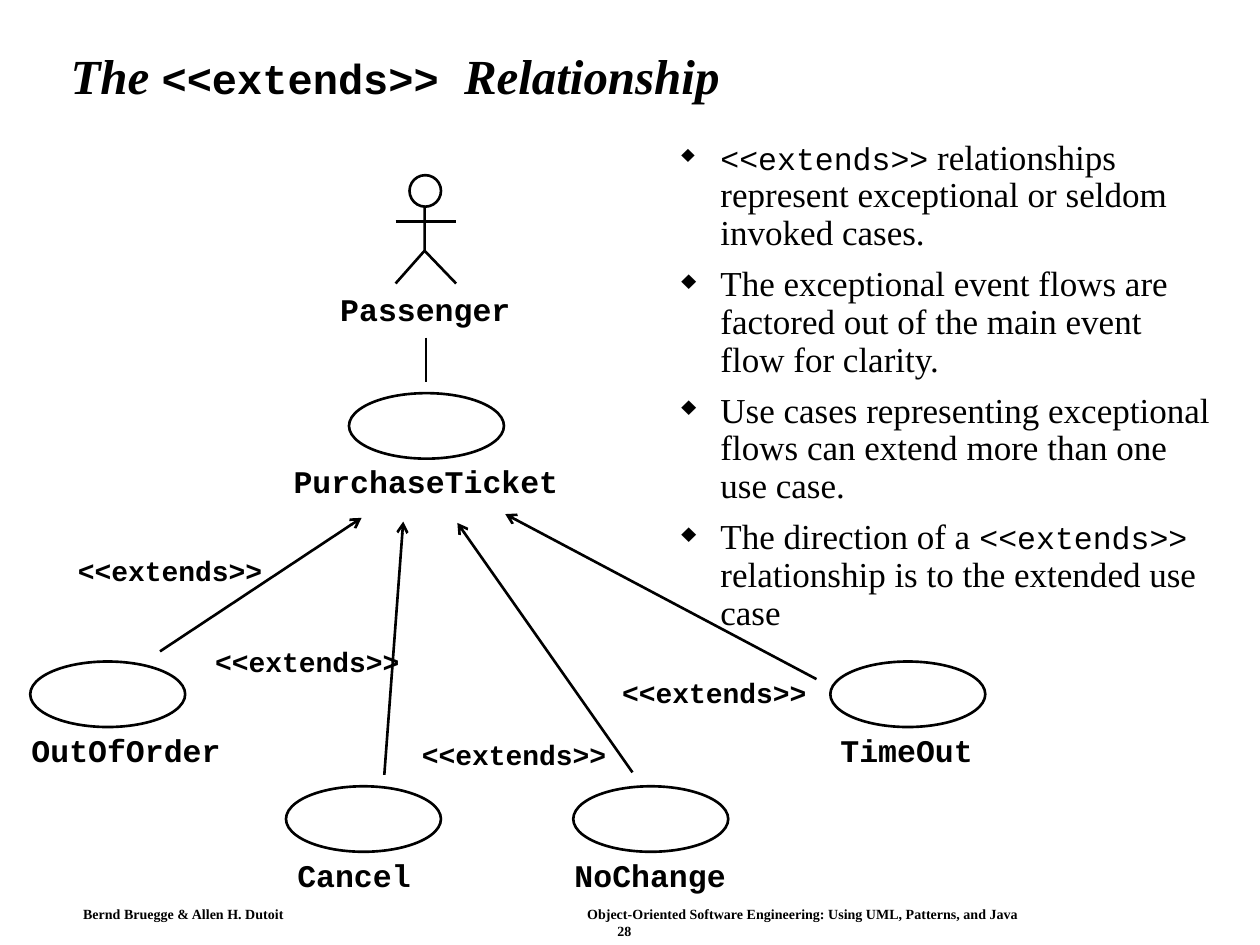
from lxml import etree
from pptx import Presentation
from pptx import util as u
from pptx.dml.color import RGBColor
from pptx.enum import shapes, text
from pptx.oxml import ns

BLACK = RGBColor(0, 0, 0)
WHITE = RGBColor(255, 255, 255)
SERIF, MONO = "Times New Roman", "Courier New"
TAG = "<<extends>>"
LEFT, MID = text.PP_ALIGN.LEFT, text.PP_ALIGN.CENTER
TOP, HALF = text.MSO_ANCHOR.TOP, text.MSO_ANCHOR.MIDDLE


def put(para, words, size=20, face=SERIF, bold=False, slant=False):
    run = para.add_run()
    run.text = words
    font = run.font
    font.size, font.name = u.Pt(size), face
    font.bold, font.italic = bold, slant
    font.color.rgb = BLACK


def sub(node, tag, **attrs):
    return etree.SubElement(node, ns.qn(tag), **attrs)


class Page:
    def __init__(self, slide):
        self.slide = slide
        self.home = slide.shapes
        self.width = u.Pt(1.5)

    def group(self):
        self.home = self.slide.shapes.add_group_shape().shapes

    def leave(self):
        self.home = self.slide.shapes

    def frame(self, shape, pad=(0, 0), wrap=False, anchor=TOP):
        body = shape.text_frame
        body.auto_size = text.MSO_AUTO_SIZE.NONE
        body.word_wrap, body.vertical_anchor = wrap, anchor
        body.margin_left = body.margin_right = u.Inches(pad[0])
        body.margin_top = body.margin_bottom = u.Inches(pad[1])
        return body

    def title(self, box, runs):
        shape = self.slide.shapes.title
        shape.left, shape.top, shape.width, shape.height = map(u.Inches, box)
        para = self.frame(shape, (0.1, 0.05), True, HALF).paragraphs[0]
        para.alignment, para.line_spacing = LEFT, 0.9
        for words, style in runs:
            put(para, words, **style)

    def label(self, box, words, pad=(0, 0), align=LEFT, anchor=TOP, **style):
        shape = self.home.add_textbox(*map(u.Inches, box))
        para = self.frame(shape, pad, False, anchor).paragraphs[0]
        para.alignment = align
        put(para, words, **style)

    def bullets(self, box, items):
        shape = self.home.add_textbox(*map(u.Inches, box))
        body = self.frame(shape, (0.1, 0.05), True)
        for i, runs in enumerate(items):
            para = body.add_paragraph() if i else body.paragraphs[0]
            props = para._p.get_or_add_pPr()
            props.set("marL", str(u.Inches(0.31)))
            props.set("indent", str(-u.Inches(0.31)))
            sub(sub(props, "a:buClr"), "a:srgbClr", val=str(BLACK))
            sub(props, "a:buSzPct", val="75000")
            sub(props, "a:buChar", char="♦")
            para.line_spacing = 0.9
            para.space_before = u.Pt(7.5 if i else 0)
            for words in runs:
                if words == TAG:
                    put(para, words, size=18, face=MONO)
                else:
                    put(para, words)

    def stroke(self, shape):
        shape.line.color.rgb = BLACK
        shape.line.width = self.width

    def oval(self, box, fill=None):
        shape = self.home.add_shape(shapes.MSO_SHAPE.OVAL, *map(u.Inches, box))
        shape.shadow.inherit = False
        if fill is None:
            shape.fill.background()
        else:
            shape.fill.solid()
            shape.fill.fore_color.rgb = fill
        self.stroke(shape)

    def line(self, start, end, arrow=False):
        ends = map(u.Inches, (*start, *end))
        link = self.home.add_connector(shapes.MSO_CONNECTOR.STRAIGHT, *ends)
        self.stroke(link)
        if arrow:
            sub(link.line._get_or_add_ln(), "a:headEnd", type="arrow")
        sub(link._element.spPr, "a:effectLst")

    def trace(self, points):
        first, *rest = [tuple(map(u.Inches, p)) for p in points]
        maker = self.home.build_freeform(*first)
        maker.add_line_segments(rest, close=False)
        shape = maker.convert_to_shape()
        shape.shadow.inherit = False
        shape.fill.background()
        self.stroke(shape)

    def name(self, left, top, words):
        box = (left, top, 0.15 * len(words), 0.3)
        self.label(box, words, size=18, face=MONO, bold=True)

    def case(self, left, top, words, edge):
        self.oval((left, top, 1.23, 0.52))
        self.name(edge, top + 0.55, words)

    def actor(self):
        self.trace([(3.37, 1.57), (3.37, 1.99), (3.14, 2.25)])
        self.line((3.37, 1.99), (3.62, 2.25))
        self.line((3.14, 1.76), (3.62, 1.76))
        self.oval((3.25, 1.39, 0.25, 0.25), WHITE)
        self.name(2.7, 2.3, "Passenger")


def main():
    deck = Presentation()
    deck.slide_width, deck.slide_height = u.Inches(10), u.Inches(7.5)
    page = Page(deck.slides.add_slide(deck.slide_layouts[5]))

    serif = dict(size=28, bold=True, slant=True)
    mono = dict(size=24, face=MONO, bold=True)
    page.title((0.46, 0.24, 8.92, 0.77), [
        ("The ", serif), (TAG + " ", mono), ("Relationship", serif)])

    page.bullets((5.31, 1.06, 4.43, 5.25), [
        [TAG, " relationships represent exceptional or seldom invoked cases."],
        ["The exceptional event flows are factored out of the main event "
         "flow for clarity."],
        ["Use cases representing exceptional flows can extend more than one "
         "use case."],
        ["The direction of a ", TAG,
         " relationship is to the extended use case"]])

    page.group()
    page.actor()
    page.case(2.77, 3.12, "PurchaseTicket", 2.33)
    page.line((3.38, 2.68), (3.38, 3.03))

    cases = [
        ("TimeOut", (6.59, 5.25), 6.67, (4.01, 4.08), (6.48, 5.39), (4.84, 5.31)),
        ("NoChange", (4.55, 6.24), 4.56, (3.63, 4.15), (5.02, 6.13), (3.25, 5.8)),
        ("OutOfOrder", (0.24, 5.25), 0.25, (2.87, 4.11), (1.27, 5.17), (0.52, 4.34)),
        ("Cancel", (2.27, 6.24), 2.36, (3.2, 4.14), (3.05, 6.15), (1.61, 5.06)),
    ]
    for words, spot, edge, tip, tail, tag in cases:
        page.group()
        page.case(*spot, words, edge)
        page.line(tip, tail, arrow=True)
        page.label((*tag, 1.66, 0.37), TAG, (0.1, 0.05), MID, HALF,
                   size=16, face=MONO, bold=True)

    page.leave()
    notes = [
        ((0.66, 7.19, 1.6, 0.13), "Bernd Bruegge & Allen H. Dutoit"),
        ((4.66, 7.19, 3.42, 0.13), "Object-Oriented Software Engineering: "
         "Using UML, Patterns, and Java"),
        ((4.9, 7.32, 0.12, 0.13), "28"),
    ]
    for box, words in notes:
        page.label(box, words, size=8, bold=True)
    deck.save("out.pptx")


if __name__ == "__main__":
    main()
